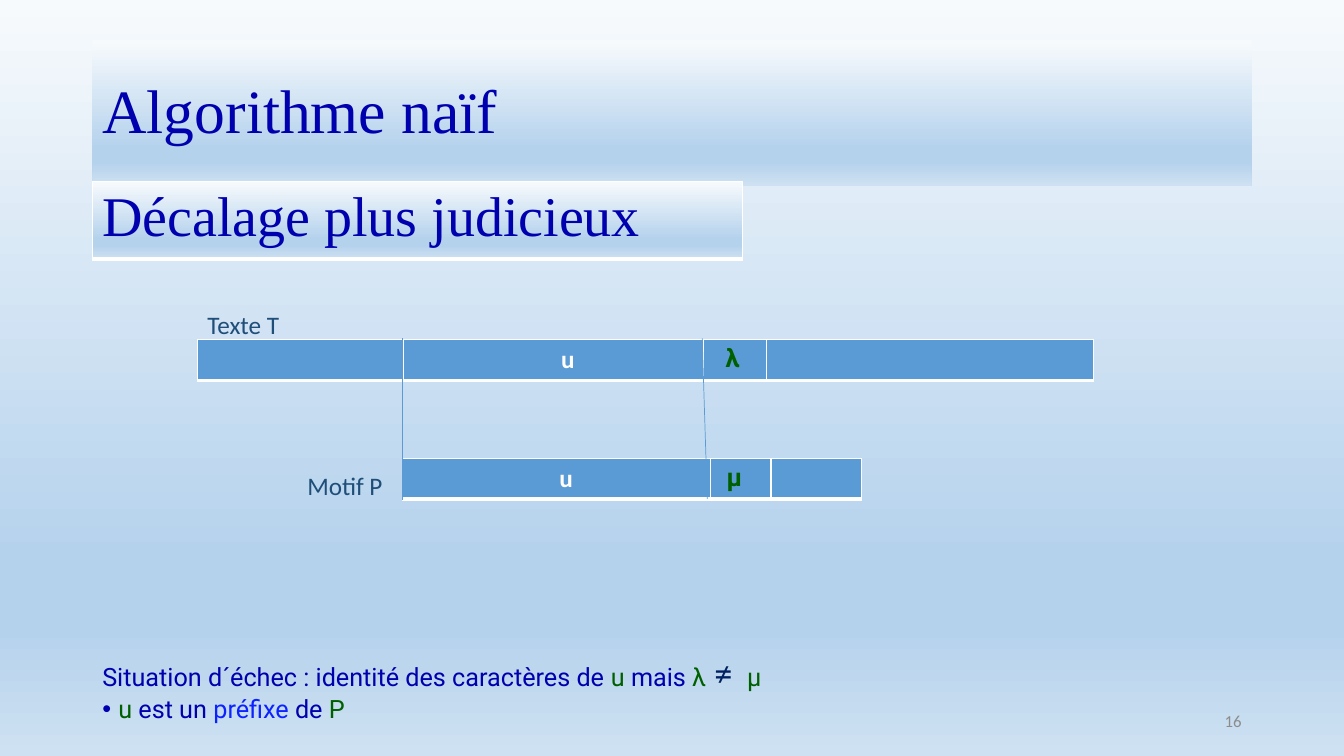
from copy import deepcopy
from dataclasses import dataclass

from lxml.etree import SubElement
from pptx import Presentation
from pptx.dml.color import RGBColor
from pptx.enum.shapes import MSO_CONNECTOR
from pptx.enum.text import MSO_ANCHOR, PP_ALIGN
from pptx.oxml.ns import qn
from pptx.util import Emu, Inches, Pt

GRID_COLUMNS = 160
SLIDE_WIDTH, SLIDE_HEIGHT = Inches(13.33), Inches(7.5)


@dataclass(frozen=True)
class Theme:
    navy: str = "0000AF"
    green: str = "006000"
    bright: str = "0C22FF"
    dark: str = "002060"
    caption: str = "1F4E79"
    grey: str = "8C8C8C"
    bar: str = "5B9BD5"
    white: str = "FFFFFF"
    gradient: tuple = ((0, "F7FAFD"), (0.74, "B5D2EC"), (0.83, "B5D2EC"), (1, "CEE1F2"))
    serif: str = "Times New Roman"
    sans: str = "Calibri"
    body: str = "Roboto"
    bullet: str = "Arial"
    title_size: int = 44
    subtitle_size: int = 40
    sign_size: int = 26
    text_size: int = 18
    number_size: int = 12
    thin: float = 0.5
    edge: int = 1
    base: int = 3


THEME = Theme()


@dataclass(frozen=True)
class Box:
    """Place in grid units."""
    left: float
    top: float
    width: float
    height: float


@dataclass(frozen=True)
class Segment:
    width: float
    label: str = ""
    inset: float = 1.2
    color: str = THEME.white
    font: str = THEME.sans


@dataclass(frozen=True)
class Bar:
    left: float
    top: float
    height: float
    segments: tuple


@dataclass(frozen=True)
class Guide:
    start: tuple
    end: tuple


@dataclass(frozen=True)
class Caption:
    text: str
    box: Box


BARS = (
    Bar(23.5, 40.4, 4.9, (
        Segment(24.5),
        Segment(35.8, "u", 18.8),
        Segment(7.5, "λ", 2.6, THEME.green, THEME.body),
        Segment(38.9))),
    Bar(47.9, 54.6, 4.8, (
        Segment(36.7, "u", 18.7),
        Segment(7.2, "μ", 1.9, THEME.green, THEME.body),
        Segment(10.8))),
)
GUIDES = (Guide((47.9, 40.3), (47.9, 59.5)), Guide((83.6, 40.3), (84.2, 59.4)))
CAPTIONS = (
    Caption("Texte T", Box(23.5, 36.2, 14, 4.8)),
    Caption("Motif P", Box(35.4, 55.4, 12.5, 8.5)),
)


def units(count: float) -> Emu:
    return Emu(round(SLIDE_WIDTH * count / GRID_COLUMNS))


def place(box: Box) -> tuple:
    return tuple(units(n) for n in (box.left, box.top, box.width, box.height))


def write(paragraph, text: str, *, size: int = THEME.text_size, font: str = THEME.body,
          color: str = THEME.navy, bold: bool = False) -> None:
    run = paragraph.add_run()
    run.text = text
    run.font.size = Pt(size)
    run.font.name = font
    run.font.bold = bold
    run.font.color.rgb = RGBColor.from_string(color)


def shade(fill, owner) -> None:
    """Give fill the theme's vertical gradient; owner is the element that holds it."""
    fill.gradient()
    fill.gradient_angle = 270
    stops = next(owner.iter(qn("a:gsLst")))
    while len(stops) < len(THEME.gradient):
        stops.append(deepcopy(stops[0]))
    for stop, (position, color) in zip(fill.gradient_stops, THEME.gradient):
        stop.position = position
        stop.color.rgb = RGBColor.from_string(color)


def add_text_area(slide, box: Box, anchor: MSO_ANCHOR = MSO_ANCHOR.TOP):
    area = slide.shapes.add_textbox(*place(box))
    area.text_frame.word_wrap = True
    area.text_frame.vertical_anchor = anchor
    return area


def add_row(slide, left: float, top: float, height: float, widths: list) -> list:
    """Draw a one-row table with white borders and return its cells."""
    frame = slide.shapes.add_table(1, len(widths), *place(Box(left, top, sum(widths), height)))
    table = frame.table
    table.first_row = table.horz_banding = False
    for column, width in zip(table.columns, widths):
        column.width = units(width)
    cells = list(table.rows[0].cells)
    for cell in cells:
        properties = cell._tc.get_or_add_tcPr()
        for side in "LRTB":
            weight = THEME.base if side == "B" else THEME.edge
            border = SubElement(properties, qn(f"a:ln{side}"), w=str(Pt(weight)))
            paint = SubElement(border, qn("a:solidFill"))
            SubElement(paint, qn("a:srgbClr"), val=THEME.white)
    return cells


def add_bar(slide, bar: Bar) -> None:
    cells = add_row(slide, bar.left, bar.top, bar.height, [s.width for s in bar.segments])
    for cell, segment in zip(cells, bar.segments):
        cell.fill.solid()
        cell.fill.fore_color.rgb = RGBColor.from_string(THEME.bar)
        cell.margin_left = units(segment.inset)
        if segment.label:
            write(cell.text_frame.paragraphs[0], segment.label, font=segment.font,
                  color=segment.color, bold=True)


def add_guide(slide, guide: Guide) -> None:
    ends = [units(n) for n in guide.start + guide.end]
    line = slide.shapes.add_connector(MSO_CONNECTOR.STRAIGHT, *ends)
    line.line.color.rgb = RGBColor.from_string(THEME.bar)
    line.line.width = Pt(THEME.thin)
    SubElement(line._element.spPr, qn("a:effectLst"))


def add_bullet(paragraph) -> None:
    properties = paragraph._p.get_or_add_pPr()
    indent = units(1.9)
    properties.set("marL", str(indent))
    properties.set("indent", str(-indent))
    SubElement(SubElement(properties, qn("a:buClr")), qn("a:srgbClr"), val=THEME.navy)
    SubElement(properties, qn("a:buFont"), typeface=THEME.bullet)
    SubElement(properties, qn("a:buChar"), char="•")


def add_headings(slide) -> None:
    title = add_text_area(slide, Box(11, 4.8, 138, 17.4), MSO_ANCHOR.MIDDLE)
    shade(title.fill, title._element)
    heading = title.text_frame.paragraphs[0]
    heading.line_spacing = 0.9
    write(heading, "Algorithme naïf", size=THEME.title_size, font=THEME.serif)
    subtitle, = add_row(slide, 11, 21.6, 9.24, [77.4])
    shade(subtitle.fill, subtitle._tc)
    write(subtitle.text_frame.paragraphs[0], "Décalage plus judicieux",
          size=THEME.subtitle_size, font=THEME.serif)


def add_conclusion(slide) -> None:
    frame = add_text_area(slide, Box(11, 76.8, 94.2, 10)).text_frame
    failure, prefix = frame.paragraphs[0], frame.add_paragraph()
    write(failure, "Situation d´échec : identité des caractères de ")
    write(failure, "u ", color=THEME.green)
    write(failure, "mais ")
    write(failure, "λ", color=THEME.green)
    write(failure, " ≠ ", size=THEME.sign_size, font=THEME.sans, color=THEME.dark)
    write(failure, " μ", color=THEME.green)
    add_bullet(prefix)
    write(prefix, "u ", color=THEME.green)
    write(prefix, "est un ")
    write(prefix, "préfixe ", color=THEME.bright)
    write(prefix, "de ")
    write(prefix, "P", color=THEME.green)


def main() -> None:
    deck = Presentation()
    deck.slide_width, deck.slide_height = SLIDE_WIDTH, SLIDE_HEIGHT
    slide = deck.slides.add_slide(deck.slide_layouts[6])
    shade(slide.background.fill, slide._element)
    add_headings(slide)
    for bar in BARS:
        add_bar(slide, bar)
    for caption in CAPTIONS:
        area = add_text_area(slide, caption.box)
        write(area.text_frame.paragraphs[0], caption.text, font=THEME.sans, color=THEME.caption)
    for guide in GUIDES:
        add_guide(slide, guide)
    add_conclusion(slide)
    number = add_text_area(slide, Box(113, 83.4, 36, 4.8), MSO_ANCHOR.MIDDLE).text_frame.paragraphs[0]
    number.alignment = PP_ALIGN.RIGHT
    write(number, "16", size=THEME.number_size, font=THEME.sans, color=THEME.grey)
    deck.save("out.pptx")


if __name__ == "__main__":
    main()
